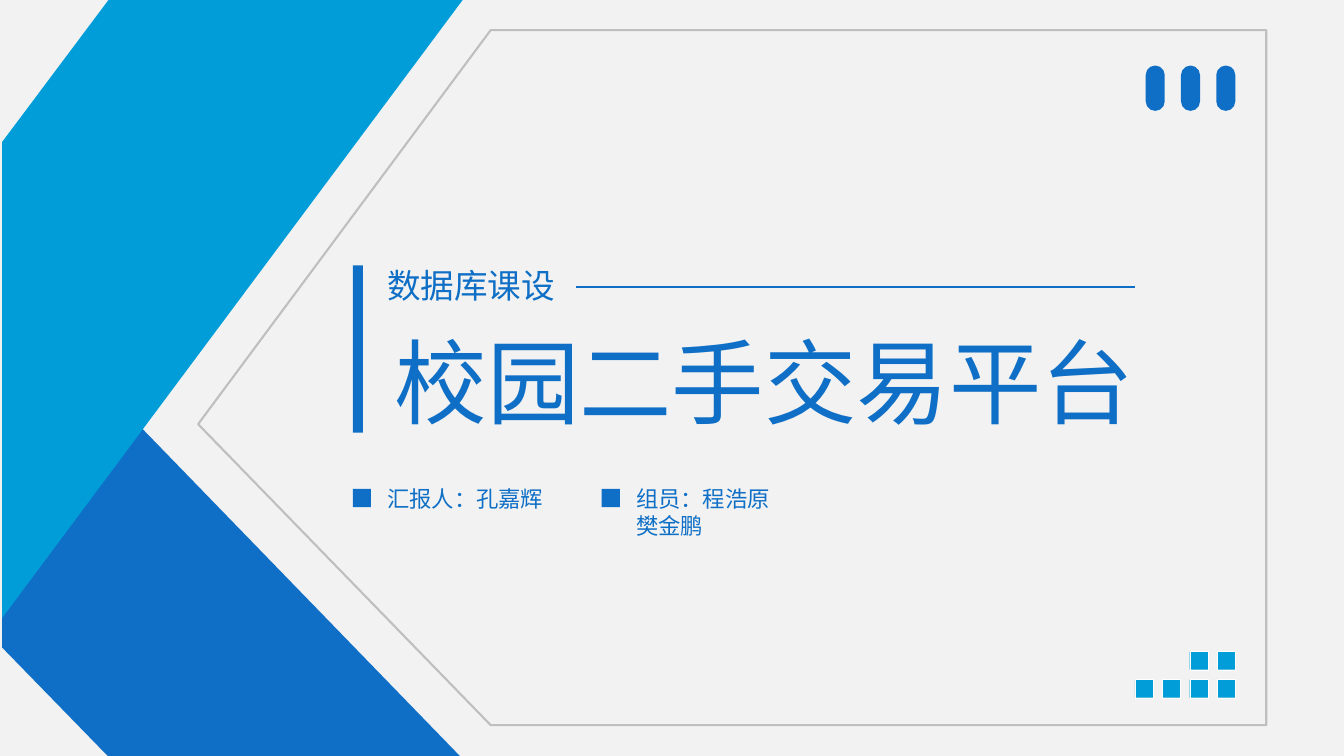
from pptx import Presentation
from pptx.dml.color import RGBColor
from pptx.enum.shapes import MSO_CONNECTOR, MSO_SHAPE
from pptx.enum.text import PP_ALIGN
from pptx.util import Pt
from lxml.etree import SubElement
from pptx.oxml.ns import qn

BLUE = RGBColor(0x0F, 0x6F, 0xC6)
SKY = RGBColor(0x00, 0x9D, 0xD9)
GREY = RGBColor(0xBF, 0xBF, 0xBF)
PALE = RGBColor(0xF2, 0xF2, 0xF2)
WHITE = RGBColor(0xFF, 0xFF, 0xFF)

deck = Presentation()
deck.slide_width, deck.slide_height = Pt(960), Pt(540)
cover = deck.slides.add_slide(deck.slide_layouts[6])
cover.background.fill.solid()
cover.background.fill.fore_color.rgb = PALE


def add_text(text, left, top, width, height, size, latin="Calibri", align=PP_ALIGN.LEFT):
    box = cover.shapes.add_textbox(Pt(left), Pt(top), Pt(width), Pt(height))
    frame = box.text_frame
    frame.margin_left = frame.margin_top = frame.margin_right = frame.margin_bottom = 0
    frame.word_wrap = False
    paragraph = frame.paragraphs[0]
    paragraph.text = text
    paragraph.alignment = align
    for run in paragraph.runs:
        run.font.size = Pt(size)
        run.font.name = latin
        run.font.color.rgb = BLUE
        SubElement(run.font._element, qn("a:ea")).set("typeface", "Noto Sans CJK SC")


def add_block(kind, left, top, width, height, color):
    block = cover.shapes.add_shape(kind, Pt(left), Pt(top), Pt(width), Pt(height))
    block.shadow.inherit = False
    block.fill.solid()
    block.fill.fore_color.rgb = color
    block.line.fill.background()
    return block


lower_band = [(328.5, 540), (77, 540), (1.5, 462.5), (1.5, 203), (328.5, 540)]
upper_band = [(1.5, 441.5), (1.5, 101.5), (77.5, 0), (330.5, 0), (1.5, 441.5)]
frame_outline = [(350.5, 21.5), (904.5, 21.5), (904.5, 518), (350.5, 518), (141.5, 303)]
for points, fill, line in [(lower_band, BLUE, None), (upper_band, SKY, None), (frame_outline, None, GREY)]:
    corners = [(Pt(x), Pt(y)) for x, y in points]
    builder = cover.shapes.build_freeform(*corners[0])
    builder.add_line_segments(corners[1:], close=True)
    outline = builder.convert_to_shape()
    outline.shadow.inherit = False
    if fill is None:
        outline.fill.background()
        outline.line.color.rgb = line
        outline.line.width = Pt(1.5)
    else:
        outline.fill.solid()
        outline.fill.fore_color.rgb = fill
        outline.line.fill.background()

for column in range(3):
    pill = add_block(MSO_SHAPE.ROUNDED_RECTANGLE, 818.4 + 25.2 * column, 46.8, 13.6, 32.4, BLUE)
    pill.adjustments[0] = 0.5

for row, first_column in enumerate([2, 0]):
    for column in range(first_column, 4):
        tile = add_block(MSO_SHAPE.RECTANGLE, 810.6 + 19.6 * column, 465.4 + 20 * row, 13, 13, SKY)
        tile.line.color.rgb = WHITE
        tile.line.width = Pt(0.25)

title_rule = cover.shapes.add_connector(MSO_CONNECTOR.STRAIGHT, Pt(810.6), Pt(204.7), Pt(411.6), Pt(204.7))
title_rule.line.color.rgb = BLUE
title_rule.line.width = Pt(1.5)
SubElement(title_rule._element.spPr, qn("a:effectLst"))

add_block(MSO_SHAPE.RECTANGLE, 252, 189.5, 7.3, 119.5, BLUE)
add_text("校园二手交易平台", 282, 232, 528, 80, 66, latin="Noto Sans CJK SC", align=PP_ALIGN.CENTER)
add_text("数据库课设", 276.5, 189.5, 120, 29, 24)

for left, people, width in [(252, "汇报人：孔嘉辉", 112), (429.8, "组员：程浩原\v樊金鹏", 157)]:
    add_block(MSO_SHAPE.RECTANGLE, left, 349.2, 13, 13, BLUE)
    add_text(people, left + 24.5, 346.3, width, 19.4, 16)

deck.save("out.pptx")
